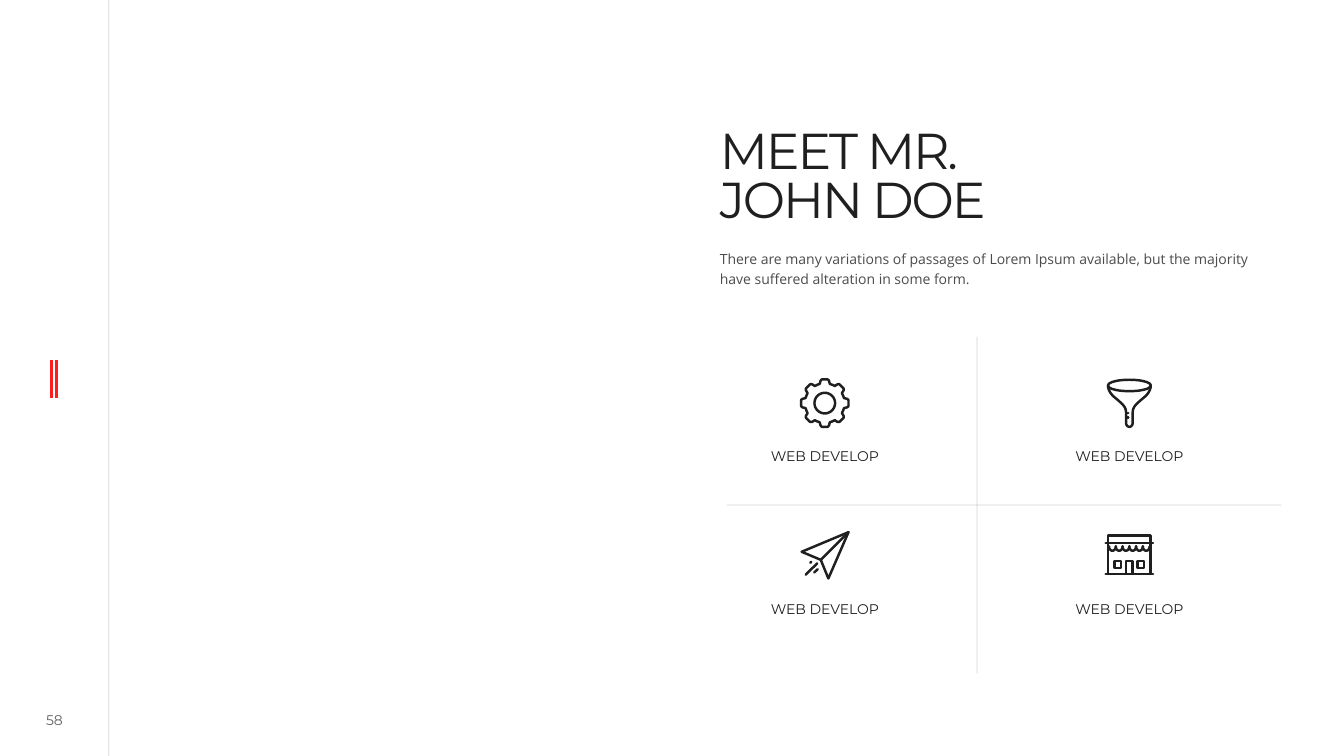
import copy
import math
from dataclasses import dataclass

import pptx
import pptx.dml.color
import pptx.enum.shapes
import pptx.enum.text
import pptx.oxml
import pptx.oxml.ns
import pptx.util

COLORS = {"ink": "1F1F1F", "accent": "FE1C1D"}
HEADING_FONT, BODY_FONT = "Montserrat", "Open Sans"
SLIDE_WIDTH, SLIDE_HEIGHT = pptx.util.Inches(13.33), pptx.util.Inches(7.5)
ALIGN = pptx.enum.text.PP_ALIGN
ANCHOR = pptx.enum.text.MSO_ANCHOR
Point = tuple[float, float]


# Lengths are percentages of the slide's width and height
def across(percent: float) -> int:
    return round(SLIDE_WIDTH * percent / 100)


def down(percent: float) -> int:
    return round(SLIDE_HEIGHT * percent / 100)


@dataclass
class Box:
    left: float
    top: float
    width: float
    height: float

    def lengths(self) -> tuple[int, int, int, int]:
        return across(self.left), down(self.top), across(self.width), down(self.height)


@dataclass
class Rule:
    start: Point
    end: Point
    color: str = "ink"
    weight: float = 0.5
    opacity: int = 20


@dataclass
class Stroke:
    """Points in thousandths of an inch from the icon's centre."""
    points: list[Point]
    closed: bool = False


@dataclass
class Feature:
    column: int
    row: int
    label: str
    strokes: list[Stroke]


# Formatting helpers
def set_opacity(element, opacity: int) -> None:
    if opacity < 100:
        for color in element.iter(pptx.oxml.ns.qn("a:srgbClr")):
            pptx.oxml.ns.qn("a:alpha")
            alpha = color.makeelement(pptx.oxml.ns.qn("a:alpha"), {"val": str(opacity * 1000)})
            color.append(alpha)


def rgb(name: str) -> pptx.dml.color.RGBColor:
    return pptx.dml.color.RGBColor.from_string(COLORS[name])


def write(shape, text: str, *, size: float, font: str = HEADING_FONT, opacity: int = 100,
          align=ALIGN.LEFT, anchor=ANCHOR.TOP, line_spacing: float = 1.0,
          inset_top: float = 0, inset_bottom: float = 0, tracking: float = 0) -> None:
    frame = shape.text_frame
    frame.word_wrap = True
    frame.auto_size = pptx.enum.text.MSO_AUTO_SIZE.NONE
    frame.vertical_anchor = anchor
    frame.margin_left = frame.margin_right = 0
    frame.margin_top = pptx.util.Inches(inset_top)
    frame.margin_bottom = pptx.util.Inches(inset_bottom)
    paragraph = frame.paragraphs[0]
    paragraph.text = text
    paragraph.alignment = align
    paragraph.line_spacing = line_spacing
    for run in paragraph.runs:
        run.font.name = font
        run.font.size = pptx.util.Pt(size)
        run.font.color.rgb = rgb("ink")
        properties = run._r.get_or_add_rPr()
        set_opacity(properties, opacity)
        if tracking:
            properties.set("spc", str(round(tracking * 100)))
    # Line breaks take the size of the text around them
    for line_break in paragraph._p.findall(pptx.oxml.ns.qn("a:br")):
        line_break.append(copy.deepcopy(properties))


def add_text(slide, box: Box, text: str, **text_format) -> None:
    write(slide.shapes.add_textbox(*box.lengths()), text, **text_format)


def add_rule(slide, rule: Rule) -> None:
    connector = slide.shapes.add_connector(
        pptx.enum.shapes.MSO_CONNECTOR.STRAIGHT,
        across(rule.start[0]), down(rule.start[1]), across(rule.end[0]), down(rule.end[1]))
    connector.line.color.rgb = rgb(rule.color)
    connector.line.width = pptx.util.Pt(rule.weight)
    properties = connector._element.spPr
    set_opacity(properties, rule.opacity)
    properties.append(properties.makeelement(pptx.oxml.ns.qn("a:effectLst"), {}))


# Icon outlines
def arc(x: float, y: float, radius_x: float, radius_y: float,
        first: float = 0, last: float = 360, steps: int = 40) -> list[Point]:
    angles = [math.radians(first + (last - first) * i / steps) for i in range(steps + 1)]
    return [(x + radius_x * math.cos(a), y + radius_y * math.sin(a)) for a in angles]


def bezier(a: Point, b: Point, c: Point, d: Point, steps: int = 16) -> list[Point]:
    shares = [i / steps for i in range(steps + 1)]
    return [tuple((1 - t) ** 3 * p + 3 * (1 - t) ** 2 * t * q + 3 * (1 - t) * t * t * r + t ** 3 * s
                  for p, q, r, s in zip(a, b, c, d)) for t in shares]


def rectangle(left: float, top: float, right: float, bottom: float) -> Stroke:
    return Stroke([(left, top), (right, top), (right, bottom), (left, bottom)], True)


def gear() -> list[Stroke]:
    tooth = [(-72, -183), (-50, -190), (-42, -222), (-30, -235),
             (30, -235), (42, -222), (50, -190), (72, -183)]
    turns = [math.radians(45 * i) for i in range(8)]
    outline = [(x * math.cos(a) - y * math.sin(a), x * math.sin(a) + y * math.cos(a))
               for a in turns for x, y in tooth]
    return [Stroke(outline, True), Stroke(arc(0, 0, 102, 102), True)]


def funnel() -> list[Stroke]:
    left = bezier((-212, -175), (-212, -50), (-33, -20), (-33, 90))
    right = [(-x, y) for x, y in reversed(left)]
    tip = arc(0, 195, 33, 40, 180, 0, 12)
    ticks = [Stroke([(-30, y), (-10, y)]) for y in (100, 145)]
    return [Stroke(arc(0, -175, 212, 57), True), Stroke(left + tip + right), *ticks]


def paper_plane() -> list[Stroke]:
    nose, fold = (235, -230), (-40, 45)
    return [Stroke([nose, (-230, -35), fold, (35, 230)], True), Stroke([nose, fold]),
            Stroke([(-70, 138), (-105, 170)]), Stroke([(-75, 80), (-190, 192)]),
            Stroke([(-145, 75), (-135, 65)])]


def shop() -> list[Stroke]:
    pitch = 67
    scallops = [Stroke(arc(pitch * (i - 2.5), -90, pitch / 2, 45, 180, 0, 12)) for i in range(6)]
    scallops = [Stroke([(x, 2 * -120 - y + 60 if y < -120 else y) for x, y in s.points])
                for s in scallops]
    return [Stroke([(-212, 185), (-212, -195), (212, -195), (212, 185)]),
            *[Stroke([(-235, y), (235, y)]) for y in (-125, 185)], *scallops,
            *[rectangle(x - 33, 55, x + 33, 125) for x in (-115, 115)],
            Stroke([(-33, 185), (-33, 55), (33, 55), (33, 185)])]


def add_icon(slide, x: float, y: float, strokes: list[Stroke]) -> None:
    builder = slide.shapes.build_freeform(*strokes[0].points[0], scale=pptx.util.Inches(1) / 1000)
    for index, stroke in enumerate(strokes):
        if index:
            builder.move_to(*stroke.points[0])
        builder.add_line_segments(stroke.points[1:], close=stroke.closed)
    shape = builder.convert_to_shape(across(x), down(y))
    shape.shadow.inherit = False
    shape.fill.background()
    shape.line.color.rgb = rgb("ink")
    shape.line.width = pptx.util.Pt(1.75)
    line = shape.line._get_or_add_ln()
    line.set("cap", "rnd")
    line.append(line.makeelement(pptx.oxml.ns.qn("a:round"), {}))


RULES = [
    Rule((8.1, 0), (8.1, 100)),
    *[Rule((x, 47.6), (x, 52.67), "accent", 2, 100) for x in (3.83, 4.2)],
    Rule((72.69, 44.53), (72.69, 89.07)),
    Rule((54.09, 66.8), (95.35, 66.8)),
]
FEATURES = [
    Feature(0, 0, "WEB DEVELOP", gear()),
    Feature(1, 0, "WEB DEVELOP", funnel()),
    Feature(0, 1, "WEB DEVELOP", paper_plane()),
    Feature(1, 1, "WEB DEVELOP", shop()),
]
GRID = Box(50.04, 53.33, 22.66, 20.13)  # left edge, first icon centre, cell size


def main() -> None:
    presentation = pptx.Presentation()
    presentation.slide_width, presentation.slide_height = SLIDE_WIDTH, SLIDE_HEIGHT
    slide = presentation.slides.add_slide(presentation.slide_layouts[5])

    # Title, introduction and page number
    title = slide.shapes.title
    title.left, title.top, title.width, title.height = Box(53.56, 14.53, 41.79, 23.6).lengths()
    write(title, "MEET MR.\vJOHN DOE", size=36, line_spacing=0.8, inset_top=0.21, tracking=-1.5)
    add_text(slide, Box(53.56, 32, 41.79, 6.67),
             "There are many variations of passages of Lorem Ipsum available, "
             "but the majority have suffered alteration in some form.",
             size=10, font=BODY_FONT, opacity=80, line_spacing=1.2,
             inset_top=0.05, inset_bottom=0.05)
    add_text(slide, Box(1.95, 93.6, 4.2, 3.33), "58", size=10, opacity=70,
             align=ALIGN.CENTER, anchor=ANCHOR.MIDDLE)

    # Rules and feature grid
    for rule in RULES:
        add_rule(slide, rule)
    for feature in FEATURES:
        left = GRID.left + feature.column * GRID.width
        middle = GRID.top + feature.row * GRID.height
        add_icon(slide, left + GRID.width / 2, middle, feature.strokes)
        add_text(slide, Box(left, middle + 5.87, GRID.width, 3.07), feature.label, size=10,
                 align=ALIGN.CENTER, line_spacing=0.7, inset_top=0.05, inset_bottom=0.05)

    presentation.save("out.pptx")


if __name__ == "__main__":
    main()
